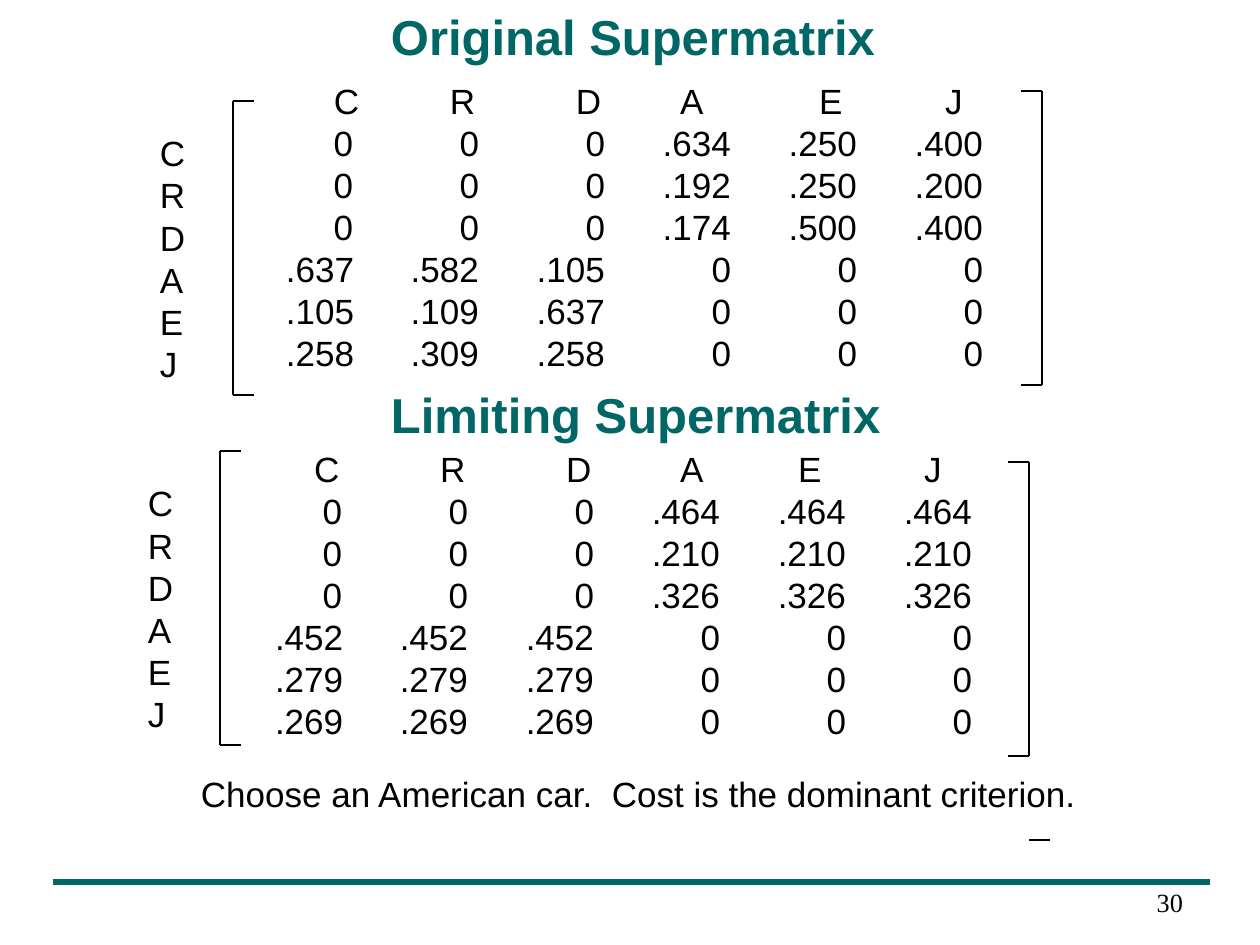
from lxml.etree import SubElement
from pptx import Presentation
from pptx.dml.color import RGBColor
from pptx.enum.shapes import MSO_CONNECTOR
from pptx.enum.text import MSO_ANCHOR, MSO_AUTO_SIZE, PP_ALIGN
from pptx.oxml.ns import qn
from pptx.util import Emu, Pt

# Content; positions in px, header tabs measured from the text edge
CRITERIA = ["C", "R", "D", "A", "E", "J"]
MATRICES = [
    dict(title="Original Supermatrix", title_at=(378, 0, 509, 72),
         values_at=(273, 73), labels_at=(147, 126),
         header_tabs=[48, 164, 290, 394, 533, 659],
         left=(233, 101), right=(1042, 91),
         rows=["0 0 0 .634 .250 .400",
               "0 0 0 .192 .250 .200",
               "0 0 0 .174 .500 .400",
               ".637 .582 .105 0 0 0",
               ".105 .109 .637 0 0 0",
               ".258 .309 .258 0 0 0"]),
    dict(title="Limiting Supermatrix", title_at=(378, 378, 515, 72),
         values_at=(262, 441), labels_at=(135, 476),
         header_tabs=[39, 165, 291, 405, 523, 649],
         left=(220, 451), right=(1029, 462),
         rows=["0 0 0 .464 .464 .464",
               "0 0 0 .210 .210 .210",
               "0 0 0 .326 .326 .326",
               ".452 .452 .452 0 0 0",
               ".279 .279 .279 0 0 0",
               ".269 .269 .269 0 0 0"]),
]
CONCLUSION = "Choose an American car.  Cost is the dominant criterion."
PAGE = "30"

BLACK, TEAL = "000000", "006666"
FIRST_TAB, STEP = 67, 126
VALUE_TABS = [FIRST_TAB + STEP * i for i in range(len(CRITERIA))]
BRACKET_H, TICK = 294, 21


def px(n):
    return Emu(round(n * 914400 / 126))


def rgb(value):
    return RGBColor.from_string(value)


def set_tabs(p, stops, align):
    tabs = SubElement(p._p.get_or_add_pPr(), qn("a:tabLst"))
    for stop in stops:
        SubElement(tabs, qn("a:tab"), pos=str(px(stop)), algn=align)


def fill_text(shape, box, lines, size=20, color=BLACK, bold=False,
              font="Arial", align=PP_ALIGN.LEFT):
    shape.left, shape.top, shape.width, shape.height = map(px, box)
    tf = shape.text_frame
    tf.text = "\n".join(lines)
    tf.word_wrap = True
    tf.auto_size = MSO_AUTO_SIZE.NONE
    tf.vertical_anchor = MSO_ANCHOR.TOP
    tf.margin_left, tf.margin_right = px(13), 0
    tf.margin_top = tf.margin_bottom = px(6)
    for p in tf.paragraphs:
        p.alignment = align
        for r in p.runs:
            r.font.size, r.font.bold, r.font.name = Pt(size), bold, font
            r.font.color.rgb = rgb(color)
    return tf


def add_text(s, box, lines, **style):
    return fill_text(s.shapes.add_textbox(0, 0, 0, 0), box, lines, **style)


def add_line(s, x1, y1, x2, y2, color=BLACK, width=1):
    line = s.shapes.add_connector(MSO_CONNECTOR.STRAIGHT, *map(px, (x1, y1, x2, y2)))
    line.line.color.rgb = rgb(color)
    line.line.width = Pt(width)
    SubElement(line._element.spPr, qn("a:effectLst"))


def add_bracket(s, x, y, tick):
    add_line(s, x, y, x, y + BRACKET_H)
    for end in (y, y + BRACKET_H):
        add_line(s, x, end, x + tick, end)


def add_matrix(s, m):
    # Column headings and values, each on its own tab stops
    rows = [CRITERIA] + [row.split() for row in m["rows"]]
    tf = add_text(s, (*m["values_at"], 723, 307),
                  ["\t" + "\t".join(row) for row in rows])
    header, *values = tf.paragraphs
    set_tabs(header, m["header_tabs"], "l")
    for p in values:
        set_tabs(p, VALUE_TABS, "r")

    # Row labels and brackets
    add_text(s, (*m["labels_at"], 50, 265), CRITERIA)
    add_bracket(s, *m["left"], TICK)
    add_bracket(s, *m["right"], -TICK)


def main():
    prs = Presentation()
    prs.slide_width, prs.slide_height = px(1260), px(945)
    s = prs.slides.add_slide(prs.slide_layouts[5])

    # Headings: the first is the slide title
    heading = dict(size=28, color=TEAL, bold=True)
    first, second = MATRICES
    fill_text(s.shapes.title, first["title_at"], [first["title"]], **heading)
    add_text(s, second["title_at"], [second["title"]], **heading)

    for m in MATRICES:
        add_matrix(s, m)

    # Conclusion, short dash, footer rule and page number
    add_text(s, (188, 766, 905, 54), [CONCLUSION])
    add_line(s, 1029, 840, 1029 + TICK, 840)
    add_line(s, 53, 882, 1210, 882, TEAL, 4)
    add_text(s, (906, 880, 277, 44), [PAGE], size=15,
             font="Times New Roman", align=PP_ALIGN.RIGHT)

    prs.save("out.pptx")


if __name__ == "__main__":
    main()
